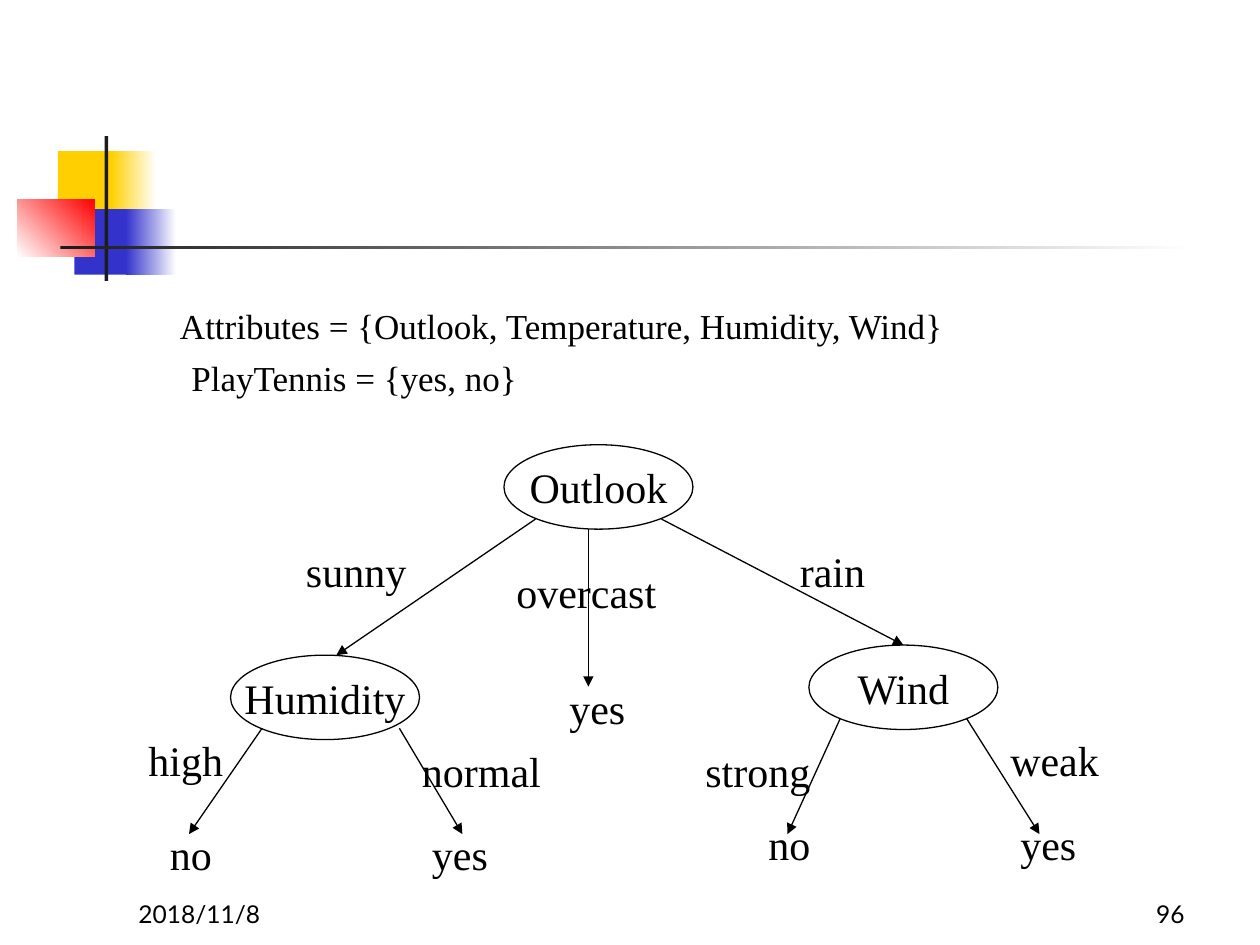
from dataclasses import dataclass

import pptx
import pptx.dml.color
import pptx.enum.shapes
import pptx.enum.text
import pptx.oxml
import pptx.oxml.ns
import pptx.util
from pptx.util import Inches

RGBColor = pptx.dml.color.RGBColor
Shape = pptx.enum.shapes.MSO_SHAPE
Anchor = pptx.enum.text.MSO_ANCHOR
Align = pptx.enum.text.PP_ALIGN

BLACK = RGBColor(0x00, 0x00, 0x00)
WHITE = RGBColor(0xFF, 0xFF, 0xFF)
YELLOW = RGBColor(0xFF, 0xCF, 0x01)
BLUE = RGBColor(0x33, 0x33, 0xCC)
RED = RGBColor(0xFF, 0x00, 0x00)
CHARCOAL = RGBColor(0x1C, 0x1C, 0x1C)

SERIF = "Times New Roman"
SANS = "Lato"
NODE_WIDTH, NODE_HEIGHT = 1.5, 0.67
LABEL_HEIGHT = 0.5


@dataclass
class Block:
    """A decorative rectangle; a second colour makes it a gradient."""
    left: float
    top: float
    width: float
    height: float
    color: RGBColor
    end_color: RGBColor | None = None
    angle: float = 0


@dataclass
class Node:
    text: str
    left: float
    top: float


@dataclass
class Label:
    text: str
    left: float
    top: float
    width: float
    height: float = LABEL_HEIGHT
    size: int = 24
    font: str = SERIF
    align: Align = Align.LEFT
    anchor: Anchor = Anchor.TOP


@dataclass
class Arrow:
    start: tuple[float, float]
    end: tuple[float, float]


BLOCKS = [
    Block(0.46, 1.2, 0.48, 0.52, YELLOW),
    Block(0.88, 1.2, 0.36, 0.52, YELLOW, WHITE),
    Block(0.59, 1.66, 0.46, 0.52, BLUE),
    Block(1, 1.66, 0.4, 0.52, BLUE, WHITE),
    Block(0.14, 1.58, 0.61, 0.46, WHITE, RED, 45),
    Block(0.83, 1.08, 0.03, 1.15, CHARCOAL),
    Block(0.48, 1.95, 9, 0.03, CHARCOAL, WHITE),
]
FOOTERS = [
    Label("2018/11/8", 1, 6.92, 2.08, size=14, font=SANS, anchor=Anchor.BOTTOM),
    Label("96", 7.42, 6.92, 2.08, size=14, font=SANS, align=Align.RIGHT,
          anchor=Anchor.BOTTOM),
]
DEFINITIONS = [
    Label("Attributes = {Outlook, Temperature, Humidity, Wind}",
          1.33, 2.37, 6.75, 0.43, 20),
    Label("PlayTennis = {yes, no}", 1.42, 2.78, 4.42, 0.43, 20),
]
NODES = [
    Node("Outlook", 4, 3.53),
    Node("Humidity", 1.83, 5.2),
    Node("Wind", 6.42, 5.12),
]
ARROWS = [
    Arrow((4.25, 4.12), (2.67, 5.2)),
    Arrow((4.67, 4.2), (4.67, 5.45)),
    Arrow((5.25, 4.12), (7.17, 5.12)),
    Arrow((2.08, 5.78), (1.5, 6.62)),
    Arrow((3.17, 5.78), (3.67, 6.62)),
    Arrow((6.67, 5.7), (6.25, 6.62)),
    Arrow((7.67, 5.7), (8.25, 6.62)),
]
BRANCHES = [
    Label("sunny", 2.33, 4.28, 1.17),
    Label("overcast", 4, 4.45, 1.5),
    Label("rain", 6.25, 4.28, 1.42),
    Label("high", 1.08, 5.78, 0.83),
    Label("normal", 3.25, 5.87, 1.17),
    Label("strong", 5.5, 5.87, 1.17),
    Label("weak", 7.92, 5.78, 1.33),
]
LEAVES = [
    Label("yes", 4.42, 5.37, 0.75),
    Label("no", 1.25, 6.53, 0.58),
    Label("yes", 3.33, 6.53, 0.75),
    Label("no", 6, 6.45, 0.67),
    Label("yes", 8, 6.45, 0.83),
]


def write_text(frame, text: str, size: int, font: str, align: Align) -> None:
    frame.text = text
    para = frame.paragraphs[0]
    para.alignment = align
    para.font.size = pptx.util.Pt(size)
    para.font.name = font
    para.font.color.rgb = BLACK


def draw_block(shapes, block: Block) -> None:
    box = shapes.add_shape(Shape.RECTANGLE, Inches(block.left), Inches(block.top),
                           Inches(block.width), Inches(block.height))
    box.shadow.inherit = False
    box.line.fill.background()
    if block.end_color is None:
        box.fill.solid()
        box.fill.fore_color.rgb = block.color
        return
    box.fill.gradient()
    box.fill.gradient_angle = block.angle
    for stop, color in zip(box.fill.gradient_stops, (block.color, block.end_color)):
        stop.color.rgb = color


def draw_label(shapes, label: Label) -> None:
    box = shapes.add_textbox(Inches(label.left), Inches(label.top),
                             Inches(label.width), Inches(label.height))
    frame = box.text_frame
    frame.word_wrap = True
    frame.vertical_anchor = label.anchor
    write_text(frame, label.text, label.size, label.font, label.align)


def draw_node(shapes, node: Node) -> None:
    oval = shapes.add_shape(Shape.OVAL, Inches(node.left), Inches(node.top),
                            Inches(NODE_WIDTH), Inches(NODE_HEIGHT))
    oval.shadow.inherit = False
    oval.fill.background()
    oval.line.color.rgb = BLACK
    oval.line.width = pptx.util.Pt(0.75)
    oval.text_frame.word_wrap = False
    oval.text_frame.vertical_anchor = Anchor.MIDDLE
    write_text(oval.text_frame, node.text, 24, SERIF, Align.CENTER)


def draw_arrow(shapes, arrow: Arrow) -> None:
    line = shapes.add_connector(pptx.enum.shapes.MSO_CONNECTOR.STRAIGHT,
                                *map(Inches, arrow.start + arrow.end))
    line.line.color.rgb = BLACK
    line.line.width = pptx.util.Pt(0.75)
    namespace = pptx.oxml.ns.nsdecls("a")
    line.line._get_or_add_ln().append(
        pptx.oxml.parse_xml(f'<a:tailEnd {namespace} type="triangle"/>'))
    line._element.spPr.append(pptx.oxml.parse_xml(f"<a:effectLst {namespace}/>"))


def main() -> None:
    deck = pptx.Presentation()
    deck.slide_width, deck.slide_height = Inches(10), Inches(7.5)
    page = deck.slides.add_slide(deck.slide_layouts.get_by_name("Blank"))

    for block in BLOCKS:
        draw_block(page.shapes, block)
    for label in FOOTERS + DEFINITIONS:
        draw_label(page.shapes, label)

    tree = page.shapes.add_group_shape().shapes
    for arrow in ARROWS:
        draw_arrow(tree, arrow)
    for node in NODES:
        draw_node(tree, node)
    for label in BRANCHES + LEAVES:
        draw_label(tree, label)

    deck.save("out.pptx")


if __name__ == "__main__":
    main()
